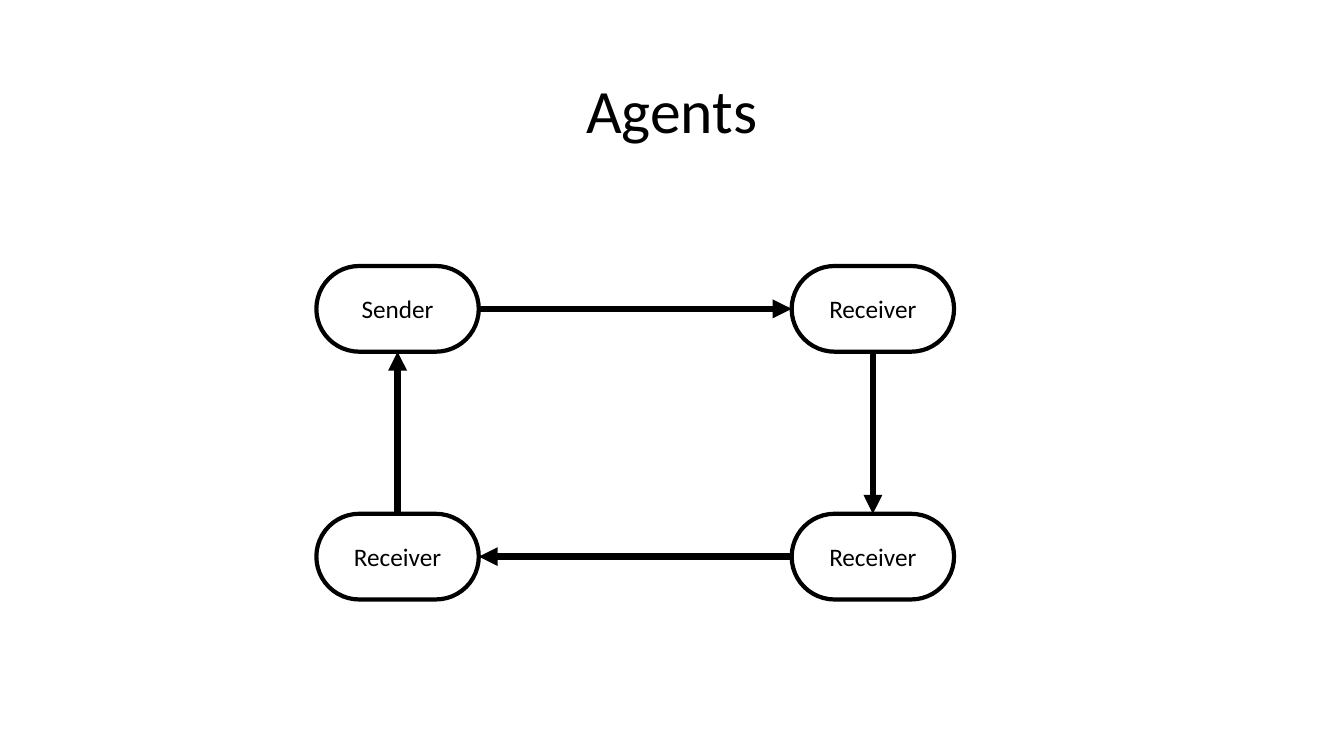
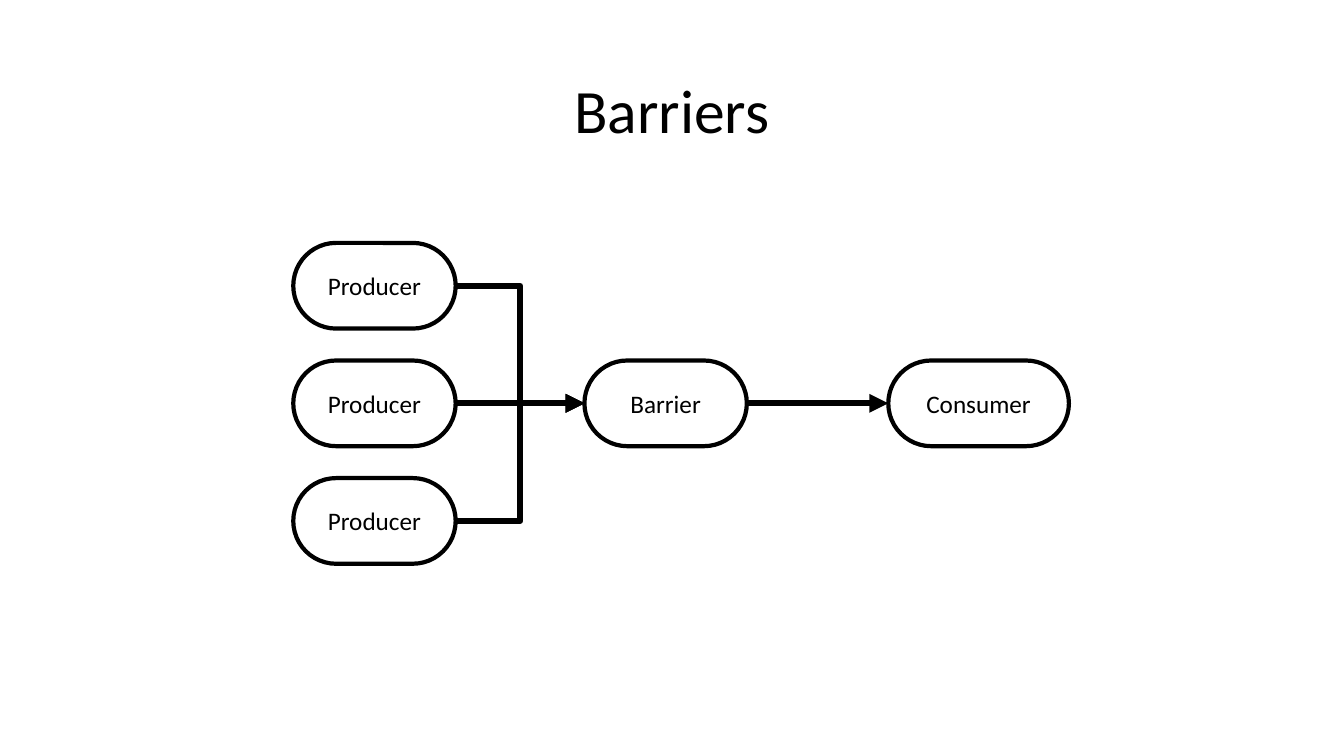
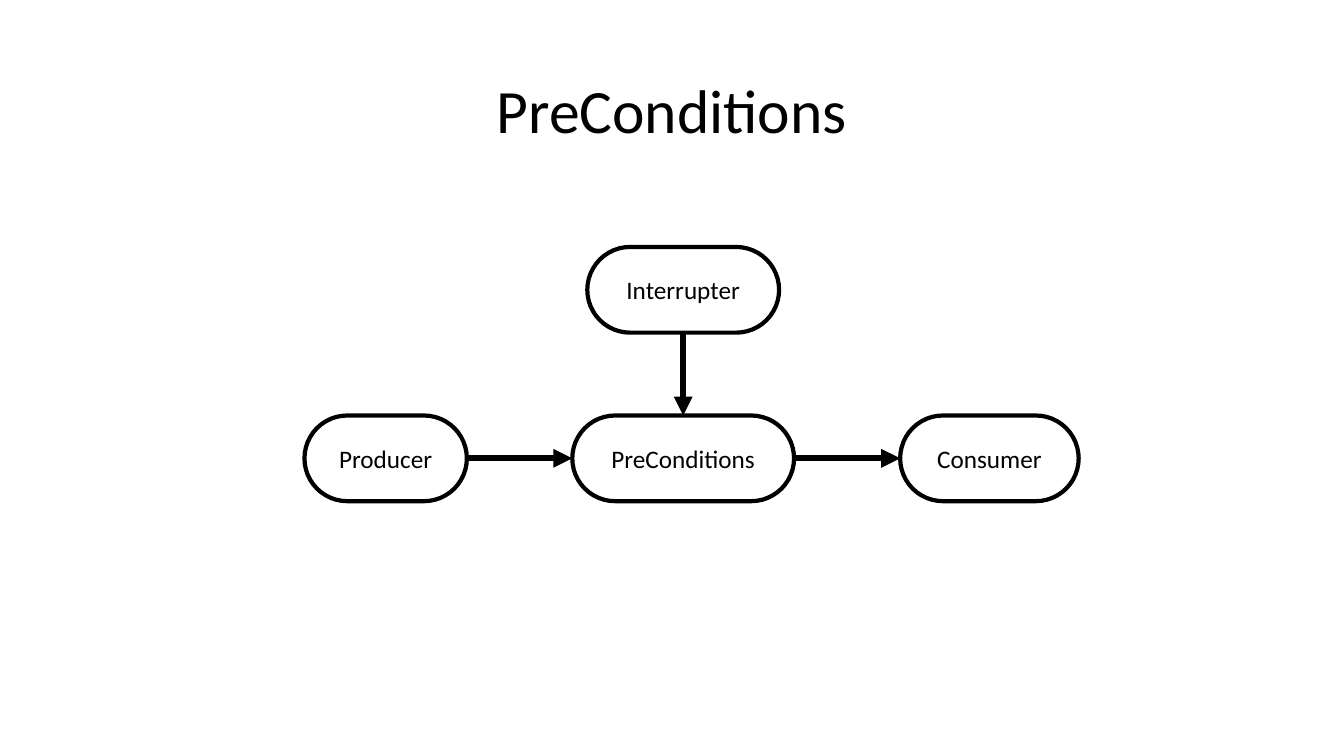
from dataclasses import dataclass

from pptx import Presentation
from pptx import util as u
from pptx.dml.color import RGBColor
from pptx.enum import shapes, text
from pptx.oxml import ns, xmlchemy
from pptx.slide import Slide

# Shared style, lengths in points
COLORS = {"ink": "000000"}
FONT = "Calibri"
INK = RGBColor.from_string(COLORS["ink"])
TITLE_BOX = (66, 28.8, 828, 104.4)
NODE_W, NODE_H = 116, 61.2

# Connection sites of a rounded rectangle
TOP, LEFT, BOTTOM, RIGHT = range(4)


@dataclass(frozen=True)
class Node:
    label: str
    x: float
    y: float
    w: float = NODE_W


@dataclass(frozen=True)
class Arrow:
    start: int
    end: int
    start_site: int = RIGHT
    end_site: int = LEFT
    bent: bool = False


@dataclass(frozen=True)
class Diagram:
    title: str
    nodes: list[Node]
    arrows: list[Arrow]


def style_text(p, size: float) -> None:
    p.alignment = text.PP_ALIGN.CENTER
    p.font.name = FONT
    p.font.size = u.Pt(size)
    p.font.color.rgb = INK


def add_title(slide: Slide, title: str) -> None:
    sp = slide.shapes.title
    sp.left, sp.top, sp.width, sp.height = map(u.Pt, TITLE_BOX)
    tf = sp.text_frame
    tf.text = title
    tf.vertical_anchor = text.MSO_ANCHOR.MIDDLE
    tf.auto_size = text.MSO_AUTO_SIZE.NONE
    p = tf.paragraphs[0]
    p.line_spacing = 0.9
    style_text(p, 44)


def add_node(slide: Slide, node: Node):
    sp = slide.shapes.add_shape(
        shapes.MSO_SHAPE.ROUNDED_RECTANGLE,
        u.Pt(node.x), u.Pt(node.y), u.Pt(node.w), u.Pt(NODE_H))
    sp.adjustments[0] = 0.5
    sp.shadow.inherit = False
    sp.fill.background()
    sp.line.color.rgb = INK
    sp.line.width = u.Pt(3)
    tf = sp.text_frame
    tf.text = node.label
    tf.vertical_anchor = text.MSO_ANCHOR.MIDDLE
    style_text(tf.paragraphs[0], 18)
    return sp


def add_arrow(slide: Slide, arrow: Arrow, boxes: list) -> None:
    kind = shapes.MSO_CONNECTOR.ELBOW if arrow.bent else shapes.MSO_CONNECTOR.STRAIGHT
    cx = slide.shapes.add_connector(kind, 0, 0, 0, 0)
    cx.begin_connect(boxes[arrow.start], arrow.start_site)
    cx.end_connect(boxes[arrow.end], arrow.end_site)
    cx.line.color.rgb = INK
    cx.line.width = u.Pt(4.5)
    # Arrowhead, and no theme shadow
    head = xmlchemy.OxmlElement("a:tailEnd")
    head.set("type", "triangle")
    sp_pr = cx._element.spPr
    sp_pr.find(ns.qn("a:ln")).append(head)
    sp_pr.append(xmlchemy.OxmlElement("a:effectLst"))


def agents() -> Diagram:
    left, right, top, bottom = 226, 565.5, 190, 367
    return Diagram(
        "Agents",
        [Node("Sender", left, top), Node("Receiver", right, top),
         Node("Receiver", right, bottom), Node("Receiver", left, bottom)],
        [Arrow(0, 1), Arrow(1, 2, BOTTOM, TOP),
         Arrow(2, 3, LEFT, RIGHT), Arrow(3, 0, TOP, BOTTOM)])


def barriers() -> Diagram:
    middle, pitch = 257.5, 84
    producers = [Node("Producer", 209.5, middle + i * pitch) for i in (-1, 0, 1)]
    return Diagram(
        "Barriers",
        producers + [Node("Barrier", 417.5, middle),
                     Node("Consumer", 634.5, middle, 129)],
        [Arrow(0, 3, bent=True), Arrow(2, 3, bent=True), Arrow(1, 3), Arrow(3, 4)])


def preconditions() -> Diagram:
    center, row = 488, 296.8
    upper_w, lower_w = 137, 158.4
    return Diagram(
        "PreConditions",
        [Node("Producer", 217.5, row),
         Node("Interrupter", center - upper_w / 2, 176.4, upper_w),
         Node("PreConditions", center - lower_w / 2, row, lower_w),
         Node("Consumer", 643, row, 127.5)],
        [Arrow(0, 2), Arrow(2, 3), Arrow(1, 2, BOTTOM, TOP)])


def main() -> None:
    prs = Presentation()
    prs.slide_width, prs.slide_height = u.Pt(960), u.Pt(540)
    title_only = prs.slide_layouts[5]
    for diagram in (agents(), barriers(), preconditions()):
        slide = prs.slides.add_slide(title_only)
        add_title(slide, diagram.title)
        boxes = [add_node(slide, node) for node in diagram.nodes]
        for arrow in diagram.arrows:
            add_arrow(slide, arrow, boxes)
    prs.save("out.pptx")


if __name__ == "__main__":
    main()
